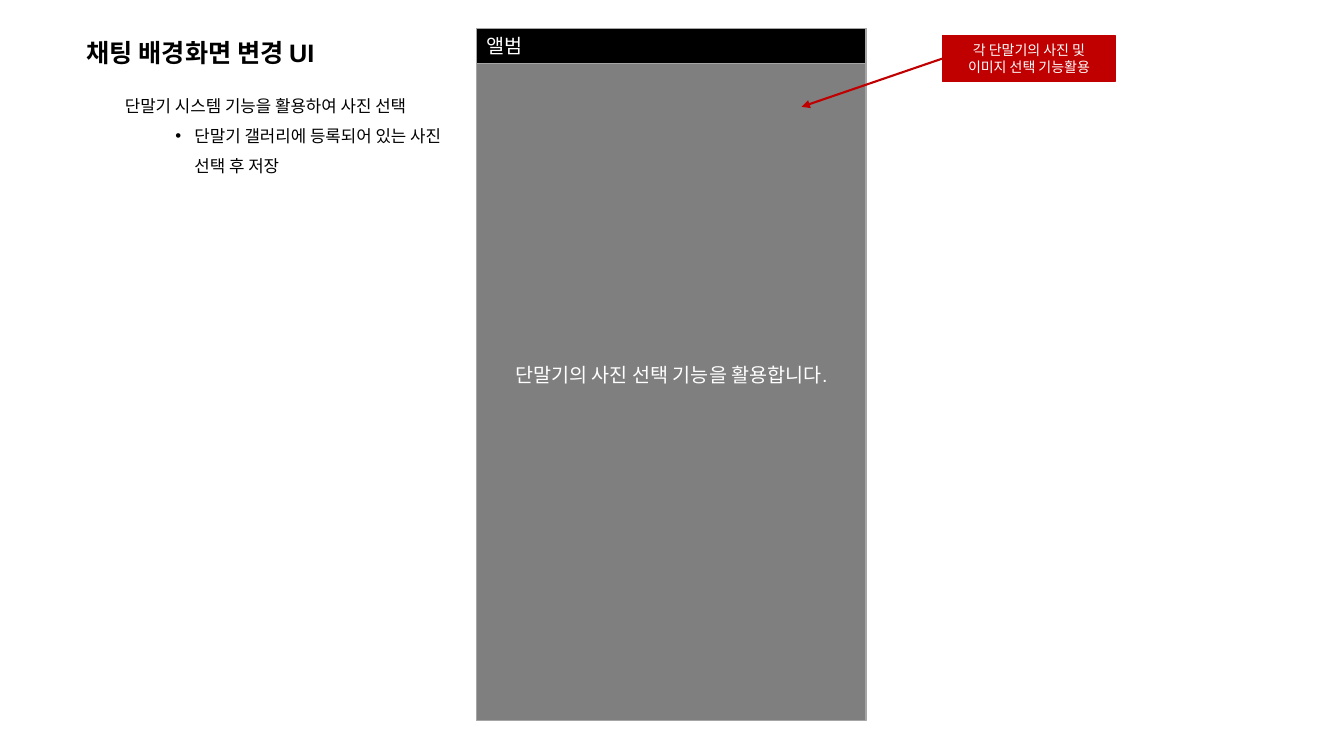
from lxml import etree
from pptx import Presentation, util as u
from pptx.dml.color import RGBColor
from pptx.enum import shapes, text
from pptx.oxml.ns import qn

COLORS = {"black": "000000", "white": "FFFFFF", "screen": "7F7F7F",
          "edge": "A5A5A5", "callout": "C00000"}
FONT = "Arial"
TITLE = "채팅 배경화면 변경 UI"
NOTES = ["단말기 시스템 기능을 활용하여 사진 선택",
         "단말기 갤러리에 등록되어 있는 사진 선택 후 저장"]
SCREEN_TEXT = "단말기의 사진 선택 기능을 활용합니다."
HEADER_TEXT = "앨범"
CALLOUT_TEXT = "각 단말기의 사진 및 이미지 선택 기능활용"

# Left, top, width, height in inches
PHONE = (4.73, 0.28, 3.86, 6.87)
HEADER = PHONE[:3] + (0.35,)
CALLOUT = (9.35, 0.35, 1.71, 0.46)
TITLE_BOX = (0.76, 0.32, 2.69, 0.4)
NOTES_BOX = (1.14, 0.8, 3.35, 1.02)
ARROW_TIP = (7.95, 1.06)
BULLET_INDENT, BULLET_HANG = 0.69, 0.19


def rgb(name):
    return RGBColor.from_string(COLORS[name])


def add_span(para, words, size, color, bold=False):
    span = para.add_run()
    span.text = words
    span.font.name, span.font.size, span.font.bold = FONT, u.Pt(size), bold
    span.font.color.rgb = rgb(color)


def add_box(page, area, words, size, fill, edge, width, align):
    box = page.shapes.add_shape(shapes.MSO_SHAPE.RECTANGLE, *map(u.Inches, area))
    box.shadow.inherit = False
    box.fill.solid()
    box.fill.fore_color.rgb = rgb(fill)
    box.line.color.rgb = rgb(edge)
    box.line.width = u.Pt(width)
    box.text_frame.word_wrap = True
    box.text_frame.vertical_anchor = text.MSO_ANCHOR.MIDDLE
    para = box.text_frame.paragraphs[0]
    para.alignment = align
    add_span(para, words, size, "white")


def add_text(page, area):
    frame = page.shapes.add_textbox(*map(u.Inches, area)).text_frame
    frame.word_wrap = True
    return frame


def add_bullet(para):
    para.level = 1
    props = para._p.get_or_add_pPr()
    props.set("marL", str(u.Inches(BULLET_INDENT)))
    props.set("indent", str(-u.Inches(BULLET_HANG)))
    etree.SubElement(props, qn("a:buFont")).set("typeface", FONT)
    etree.SubElement(props, qn("a:buChar")).set("char", "•")


def add_arrow(page, start, end):
    arrow = page.shapes.add_connector(
        shapes.MSO_CONNECTOR.STRAIGHT, *map(u.Inches, start + end))
    arrow.line.color.rgb = rgb("callout")
    arrow.line.width = u.Pt(1.5)
    etree.SubElement(arrow.line._get_or_add_ln(), qn("a:tailEnd")).set("type", "triangle")
    etree.SubElement(arrow._element.spPr, qn("a:effectLst"))


def main():
    deck = Presentation()
    deck.slide_width, deck.slide_height = u.Inches(13.33), u.Inches(7.5)
    page = deck.slides.add_slide(deck.slide_layouts[6])
    left, center = text.PP_ALIGN.LEFT, text.PP_ALIGN.CENTER

    add_box(page, PHONE, SCREEN_TEXT, 14, "screen", "edge", 0.75, center)
    add_span(add_text(page, TITLE_BOX).paragraphs[0], TITLE, 18, "black", bold=True)
    add_box(page, HEADER, HEADER_TEXT, 14, "black", "edge", 0.75, left)

    frame = add_text(page, NOTES_BOX)
    for i, words in enumerate(NOTES):
        para = frame.add_paragraph() if i else frame.paragraphs[0]
        para.line_spacing = 1.5
        if i:
            add_bullet(para)
        add_span(para, words, 12, "black")

    add_box(page, CALLOUT, CALLOUT_TEXT, 10, "callout", "callout", 1, center)
    add_arrow(page, (CALLOUT[0], CALLOUT[1] + CALLOUT[3] / 2), ARROW_TIP)
    deck.save("out.pptx")


if __name__ == "__main__":
    main()
